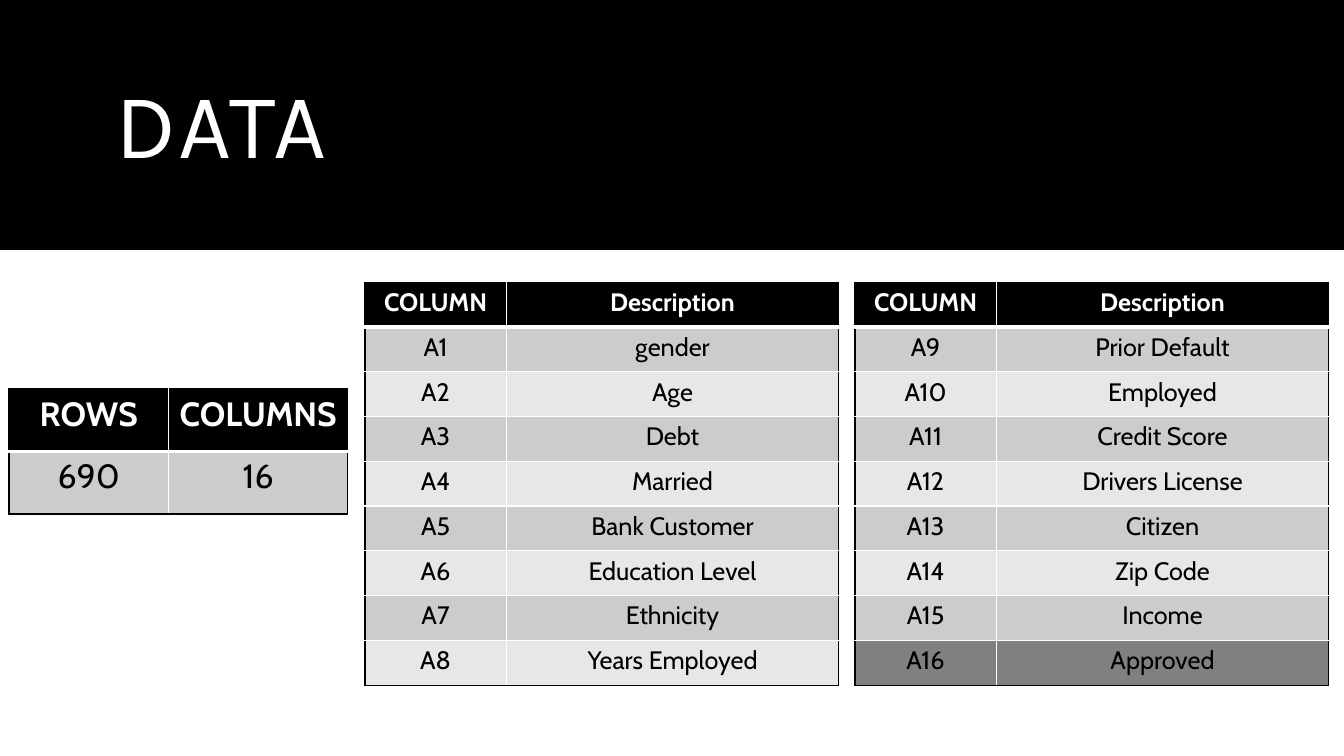
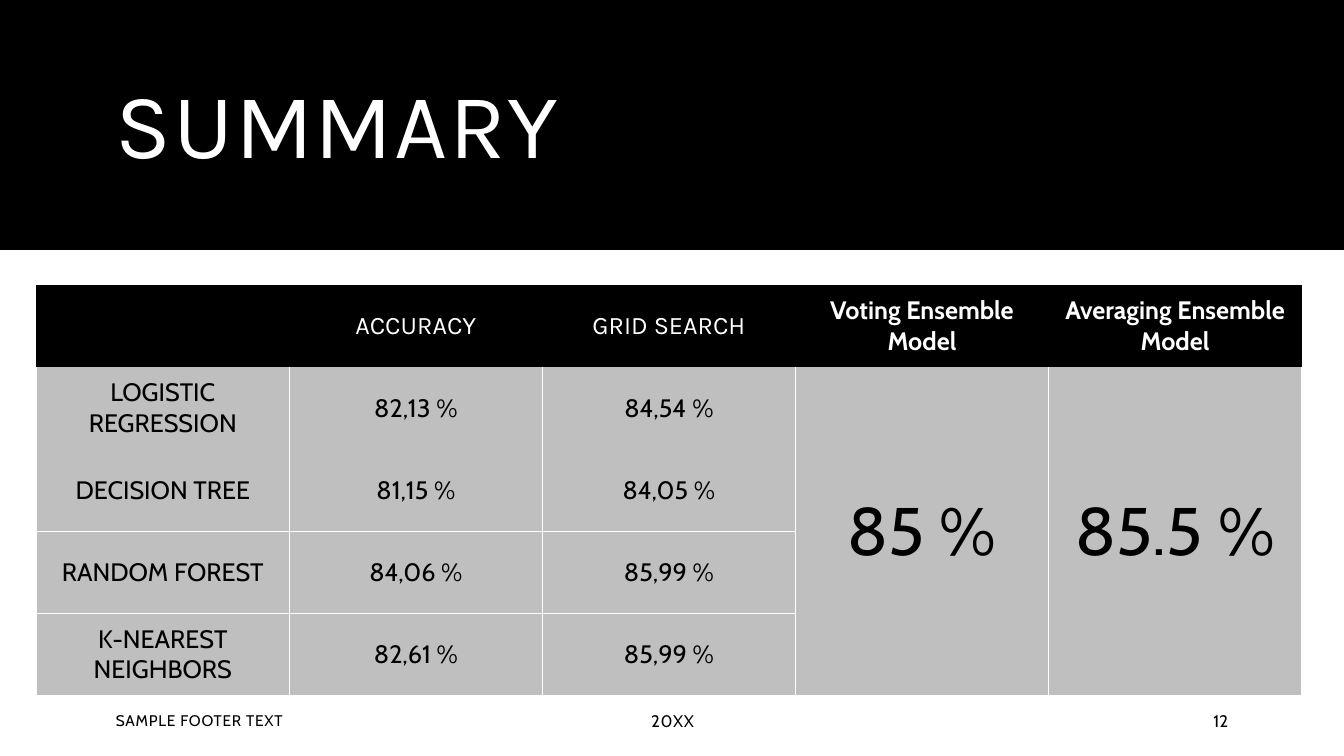
from lxml import etree
from pptx import Presentation
from pptx.dml.color import RGBColor
from pptx.enum.shapes import MSO_SHAPE
from pptx.enum.text import MSO_ANCHOR as Anchor, PP_ALIGN as Align
from pptx.oxml.ns import qn
from pptx.util import Inches, Pt

# Shared look
BLACK = RGBColor(0x00, 0x00, 0x00)
WHITE = RGBColor(0xFF, 0xFF, 0xFF)
DARK_GRAY = RGBColor(0x80, 0x80, 0x80)
MID_GRAY = RGBColor(0xBF, 0xBF, 0xBF)
BAND_GRAY = RGBColor(0xCC, 0xCC, 0xCC)
PALE_GRAY = RGBColor(0xE7, 0xE7, 0xE7)
TITLE_FONT = "Karla"
BODY_FONT = "Cabin"
SLIDE_WIDTH, SLIDE_HEIGHT = 13.33, 7.5
FOOTER_TOP, FOOTER_HEIGHT = 6.95, 0.4

# Table edges: (colour, points), or None for no line
THIN_BLACK, THIN_WHITE, THICK_WHITE = (BLACK, 1), (WHITE, 1), (WHITE, 3)

# Content
FIRST_COLUMNS = ["gender", "Age", "Debt", "Married", "Bank Customer",
                 "Education Level", "Ethnicity", "Years Employed"]
LAST_COLUMNS = ["Prior Default", "Employed", "Credit Score", "Drivers License",
                "Citizen", "Zip Code", "Income", "Approved"]
SUMMARY = [
    ["", "ACCURACY", "GRID SEARCH", "Voting Ensemble\nModel", "Averaging Ensemble\nModel"],
    ["LOGISTIC REGRESSION", "82,13 %", "84,54 %", "85 %", "85.5 %"],
    ["DECISION TREE", "81,15 %", "84,05 %", "", ""],
    ["RANDOM FOREST", "84,06 %", "85,99 %", "", ""],
    ["K-NEAREST NEIGHBORS", "82,61 %", "85,99 %", "", ""],
]


def write(paragraph, text, size, color, font=BODY_FONT, bold=False, spacing=0):
    run = paragraph.add_run()
    run.text = text
    run.font.size = Pt(size)
    run.font.name = font
    run.font.bold = bold
    run.font.color.rgb = color
    if spacing:
        run._r.get_or_add_rPr().set("spc", str(round(spacing * 100)))


def add_text(slide, box, text, size, color=BLACK, align=Align.LEFT, **style):
    frame = slide.shapes.add_textbox(*map(Inches, box)).text_frame
    frame.word_wrap = True
    frame.vertical_anchor = Anchor.MIDDLE
    paragraph = frame.paragraphs[0]
    paragraph.alignment = align
    write(paragraph, text, size, color, **style)
    return paragraph


def add_titled_slide(presentation, title):
    slide = presentation.slides.add_slide(presentation.slide_layouts[6])
    band = slide.shapes.add_shape(MSO_SHAPE.RECTANGLE, 0, 0, Inches(SLIDE_WIDTH), Inches(2.48))
    band.shadow.inherit = False
    band.fill.solid()
    band.fill.fore_color.rgb = BLACK
    band.line.fill.background()
    paragraph = add_text(slide, (1.05, 0.35, 11.23, 1.86), title, 66, WHITE,
                         font=TITLE_FONT, spacing=1.2)
    paragraph.line_spacing = 0.9
    return slide


def add_footer(slide, text, date, number):
    add_text(slide, (1.05, FOOTER_TOP, 3.54, FOOTER_HEIGHT), text, 11, spacing=0.5)
    add_text(slide, (4.9, FOOTER_TOP, 3.54, FOOTER_HEIGHT), date, 12,
             align=Align.CENTER, spacing=0.5)
    add_text(slide, (11.26, FOOTER_TOP, 1.02, FOOTER_HEIGHT), number, 12, align=Align.RIGHT)


# Table parts
def add_plain_table(slide, left, top, widths, height, row_count):
    table = slide.shapes.add_table(row_count, len(widths), Inches(left), Inches(top),
                                   Inches(sum(widths)), Inches(height)).table
    table.first_row = table.horz_banding = False
    for column, width in zip(table.columns, widths):
        column.width = Inches(width)
    for row in table.rows:
        row.height = Inches(height / row_count)
    return table


def set_edges(cell, left, right, top, bottom):
    properties = cell._tc.get_or_add_tcPr()
    edges = zip(("a:lnL", "a:lnR", "a:lnT", "a:lnB"), (left, right, top, bottom))
    for index, (tag, edge) in enumerate(edges):
        line = etree.Element(qn(tag))
        properties.insert(index, line)
        if edge is None:
            etree.SubElement(line, qn("a:noFill"))
            continue
        color, points = edge
        line.set("w", str(Pt(points)))
        fill = etree.SubElement(line, qn("a:solidFill"))
        etree.SubElement(fill, qn("a:srgbClr"), val=str(color))


def fill_cell(cell, text, fill, size, color, anchor=Anchor.TOP, **style):
    cell.fill.solid()
    cell.fill.fore_color.rgb = fill
    cell.vertical_anchor = anchor
    if not text:
        return
    frame = cell.text_frame
    for index, line in enumerate(text.split("\n")):
        paragraph = frame.add_paragraph() if index else frame.paragraphs[0]
        paragraph.alignment = Align.CENTER
        write(paragraph, line, size, color, **style)


def add_banded_table(slide, left, top, widths, height, rows, size, last_fill=None):
    """Black outline and header, alternating gray rows, white inner lines."""
    table = add_plain_table(slide, left, top, widths, height, len(rows))
    last_row, last_column = len(rows) - 1, len(widths) - 1
    for r, row in enumerate(rows):
        header = r == 0
        fill = BLACK if header else BAND_GRAY if r % 2 else PALE_GRAY
        if r == last_row and last_fill is not None:
            fill = last_fill
        above = THIN_BLACK if header else THICK_WHITE if r == 1 else THIN_WHITE
        below = THICK_WHITE if header else THIN_BLACK if r == last_row else THIN_WHITE
        for c, text in enumerate(row):
            cell = table.cell(r, c)
            fill_cell(cell, text, fill, size, WHITE if header else BLACK, bold=header)
            set_edges(cell, THIN_WHITE if c else THIN_BLACK,
                      THIN_BLACK if c == last_column else THIN_WHITE, above, below)


def add_description_table(slide, left, first_number, descriptions, last_fill=None):
    rows = [("COLUMN", "Description")]
    rows += [(f"A{number}", text) for number, text in enumerate(descriptions, first_number)]
    add_banded_table(slide, left, 2.8, (1.4, 3.3), 4, rows, 18, last_fill)


def add_summary_table(slide):
    table = add_plain_table(slide, 0.36, 2.83, [2.51] * 5, 4.07, len(SUMMARY))
    last_row = len(SUMMARY) - 1
    ensemble_columns = (3, 4)
    for c in ensemble_columns:
        table.cell(1, c).merge(table.cell(last_row, c))
    for r, row in enumerate(SUMMARY):
        for c, text in enumerate(row):
            cell = table.cell(r, c)
            ensemble = c in ensemble_columns
            if r == 0:
                fill_cell(cell, text, BLACK, 18, WHITE, Anchor.MIDDLE, bold=ensemble,
                          font=BODY_FONT if ensemble else TITLE_FONT)
                set_edges(cell, None, None, None, None)
            else:
                fill_cell(cell, text, MID_GRAY, 48 if ensemble else 18, BLACK, Anchor.MIDDLE)
                set_edges(cell, THIN_WHITE, THIN_WHITE,
                          THIN_WHITE if r > 2 and not ensemble else None,
                          THIN_WHITE if r == last_row or r > 1 and not ensemble else None)


def build_data_slide(presentation):
    slide = add_titled_slide(presentation, "DATA")
    add_description_table(slide, 3.62, 1, FIRST_COLUMNS)
    add_description_table(slide, 8.48, 9, LAST_COLUMNS, DARK_GRAY)
    add_banded_table(slide, 0.09, 3.86, (1.58, 1.78), 1.24,
                     [("ROWS", "COLUMNS"), ("690", "16")], 24)


def build_summary_slide(presentation):
    slide = add_titled_slide(presentation, "SUMMARY")
    add_summary_table(slide)
    add_footer(slide, "SAMPLE FOOTER TEXT", "20XX", "12")


def main():
    presentation = Presentation()
    presentation.slide_width = Inches(SLIDE_WIDTH)
    presentation.slide_height = Inches(SLIDE_HEIGHT)
    build_data_slide(presentation)
    build_summary_slide(presentation)
    presentation.save("out.pptx")


if __name__ == "__main__":
    main()
